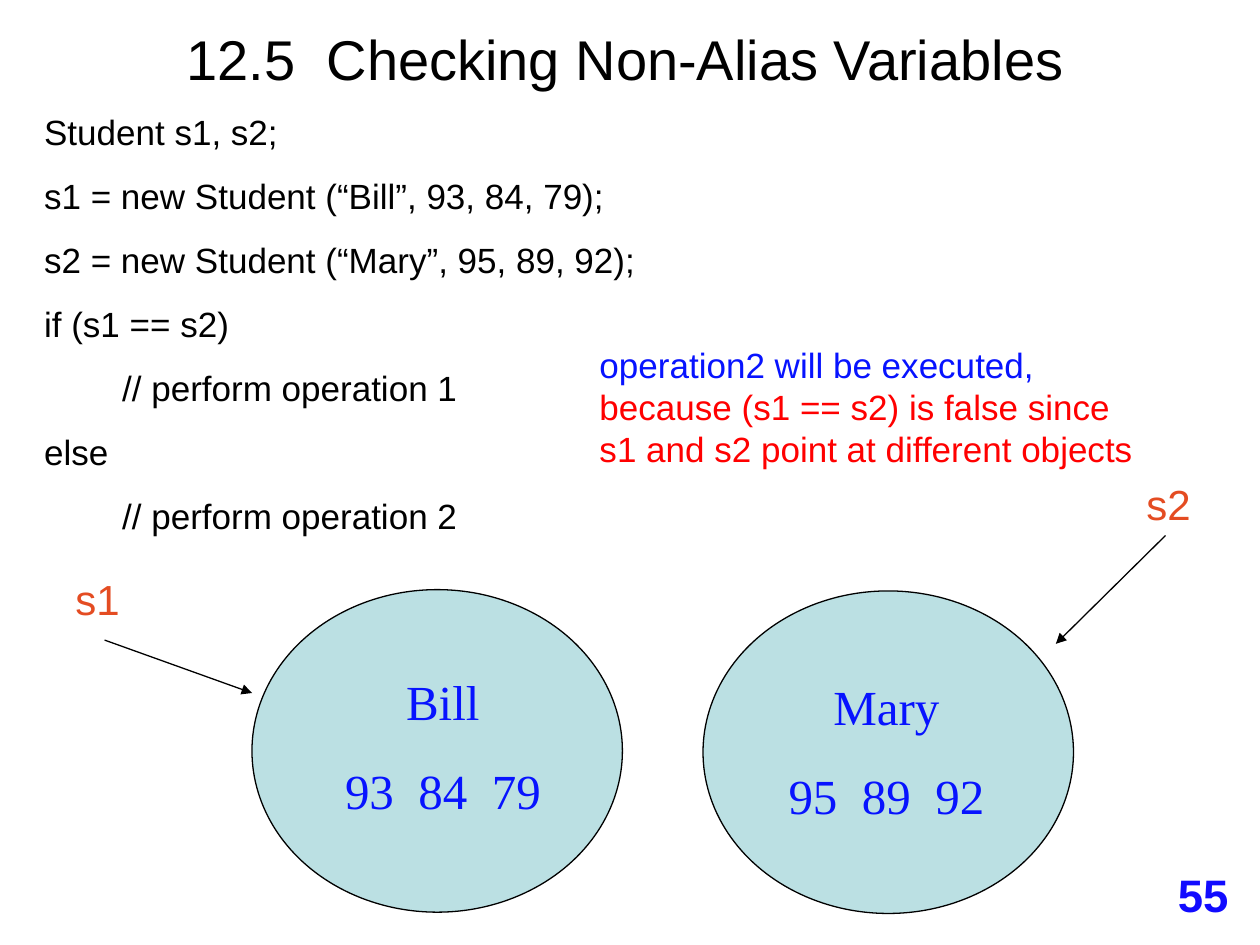
import lxml.etree
import pptx
import pptx.dml.color
import pptx.enum.shapes
import pptx.enum.text
import pptx.oxml.ns
import pptx.util

BLACK, BLUE, RED, ORANGE = "000000", "0713FF", "FF0000", "E44C22"
PAGE_BLUE, PALE_TEAL = "110BFF", "BBE0E3"
LEFT = pptx.enum.text.PP_ALIGN.LEFT
CENTER = pptx.enum.text.PP_ALIGN.CENTER
TOP = pptx.enum.text.MSO_ANCHOR.TOP
MIDDLE = pptx.enum.text.MSO_ANCHOR.MIDDLE
BOTTOM = pptx.enum.text.MSO_ANCHOR.BOTTOM

TITLE = "12.5  Checking Non-Alias Variables"
CODE = [  # (indent level, line)
    (0, "Student s1, s2;"),
    (0, "s1 = new Student (“Bill”, 93, 84, 79);"),
    (0, "s2 = new Student (“Mary”, 95, 89, 92);"),
    (0, "if (s1 == s2)"),
    (1, "// perform operation 1"),
    (0, "else"),
    (1, "// perform operation 2"),
]
NOTE = [
    ("operation2 will be executed, ", BLUE),
    ("because (s1 == s2) is false since s1 and s2 point at different objects", RED),
]
STUDENTS = [  # ellipse and text corners, then the variable and its arrow
    {"lines": ["Bill", "93  84  79"], "ellipse": (2, 4.68), "text": (2.6, 5.28),
     "variable": "s1", "label": (0.5, 4.5), "arrow": (0.83, 5.08, 2, 5.5)},
    {"lines": ["Mary", "95  89  92"], "ellipse": (5.58, 4.69), "text": (6.12, 5.32),
     "variable": "s2", "label": (9, 3.75), "arrow": (9.25, 4.25, 8.38, 5.11)},
]
PAGE_NUMBER = "55"
ELLIPSE_SIZE = (2.94, 2.56)
STUDENT_TEXT_SIZE = (1.83, 1.28)
LABEL_SIZE = (0.55, 0.5)
CODE_INDENT = 0.62


def inches(values):
    return [pptx.util.Inches(value) for value in values]


def color(hex_string):
    return pptx.dml.color.RGBColor.from_string(hex_string)


def place(box, area):
    box.left, box.top, box.width, box.height = inches(area)


def write(box, paragraphs, size, font="Arial", align=LEFT, anchor=TOP,
          before=0, bold=False, wrap=True):
    """Fill a box with paragraphs, each a list of (text, colour) runs."""
    frame = box.text_frame
    frame.word_wrap = wrap
    frame.auto_size = pptx.enum.text.MSO_AUTO_SIZE.NONE
    frame.vertical_anchor = anchor
    for index, runs in enumerate(paragraphs):
        para = frame.add_paragraph() if index else frame.paragraphs[0]
        para.alignment = align
        para.space_before = pptx.util.Pt(before)
        for text, shade in runs:
            span = para.add_run()
            span.text = text
            span.font.name = font
            span.font.size = pptx.util.Pt(size)
            span.font.bold = bold
            span.font.color.rgb = color(shade)


def add_text(page, area, paragraphs, size, **style):
    write(page.shapes.add_textbox(*inches(area)), paragraphs, size, **style)


def add_ellipse(page, area):
    ellipse = page.shapes.add_shape(pptx.enum.shapes.MSO_SHAPE.OVAL, *inches(area))
    ellipse.shadow.inherit = False
    ellipse.fill.solid()
    ellipse.fill.fore_color.rgb = color(PALE_TEAL)
    ellipse.line.color.rgb = color(BLACK)
    ellipse.line.width = pptx.util.Pt(0.75)


def add_arrow(page, ends):
    arrow = page.shapes.add_connector(
        pptx.enum.shapes.MSO_CONNECTOR.STRAIGHT, *inches(ends))
    arrow.line.color.rgb = color(BLACK)
    arrow.line.width = pptx.util.Pt(0.75)
    qn = pptx.oxml.ns.qn
    properties = arrow.element.spPr
    lxml.etree.SubElement(properties.find(qn("a:ln")), qn("a:tailEnd"), type="triangle")
    lxml.etree.SubElement(properties, qn("a:effectLst"))


def fill_code(body):
    place(body, (0.25, 0.83, 9.58, 3.48))
    write(body, [[(line, BLACK)] for _, line in CODE], 20, before=12.5)
    for para, (level, _) in zip(body.text_frame.paragraphs, CODE):
        properties = para._p.get_or_add_pPr()
        properties.set("marL", str(pptx.util.Inches(level * CODE_INDENT)))
        properties.set("indent", "0")
        lxml.etree.SubElement(properties, pptx.oxml.ns.qn("a:buNone"))


def add_student(page, student):
    add_ellipse(page, student["ellipse"] + ELLIPSE_SIZE)
    add_text(page, student["text"] + STUDENT_TEXT_SIZE,
             [[(line, BLUE)] for line in student["lines"]], 28,
             font="Times New Roman", align=CENTER, before=17.5)
    add_text(page, student["label"] + LABEL_SIZE,
             [[(student["variable"], ORANGE)]], 24, before=15, wrap=False)
    add_arrow(page, student["arrow"])


def main():
    deck = pptx.Presentation()
    deck.slide_width, deck.slide_height = inches((10, 7.5))
    page = deck.slides.add_slide(deck.slide_layouts[1])
    title, body = page.placeholders

    place(title, (0.04, 0.04, 9.85, 0.84))
    write(title, [[(TITLE, BLACK)]], 32, align=CENTER, anchor=MIDDLE)
    fill_code(body)
    add_text(page, (4.66, 2.68, 4.5, 1.1), [NOTE], 20, before=12.5)
    for student in STUDENTS:
        add_student(page, student)
    add_text(page, (9.25, 6.83, 0.64, 0.53), [[(PAGE_NUMBER, PAGE_BLUE)]], 26,
             anchor=BOTTOM, bold=True)
    deck.save("out.pptx")


if __name__ == "__main__":
    main()
